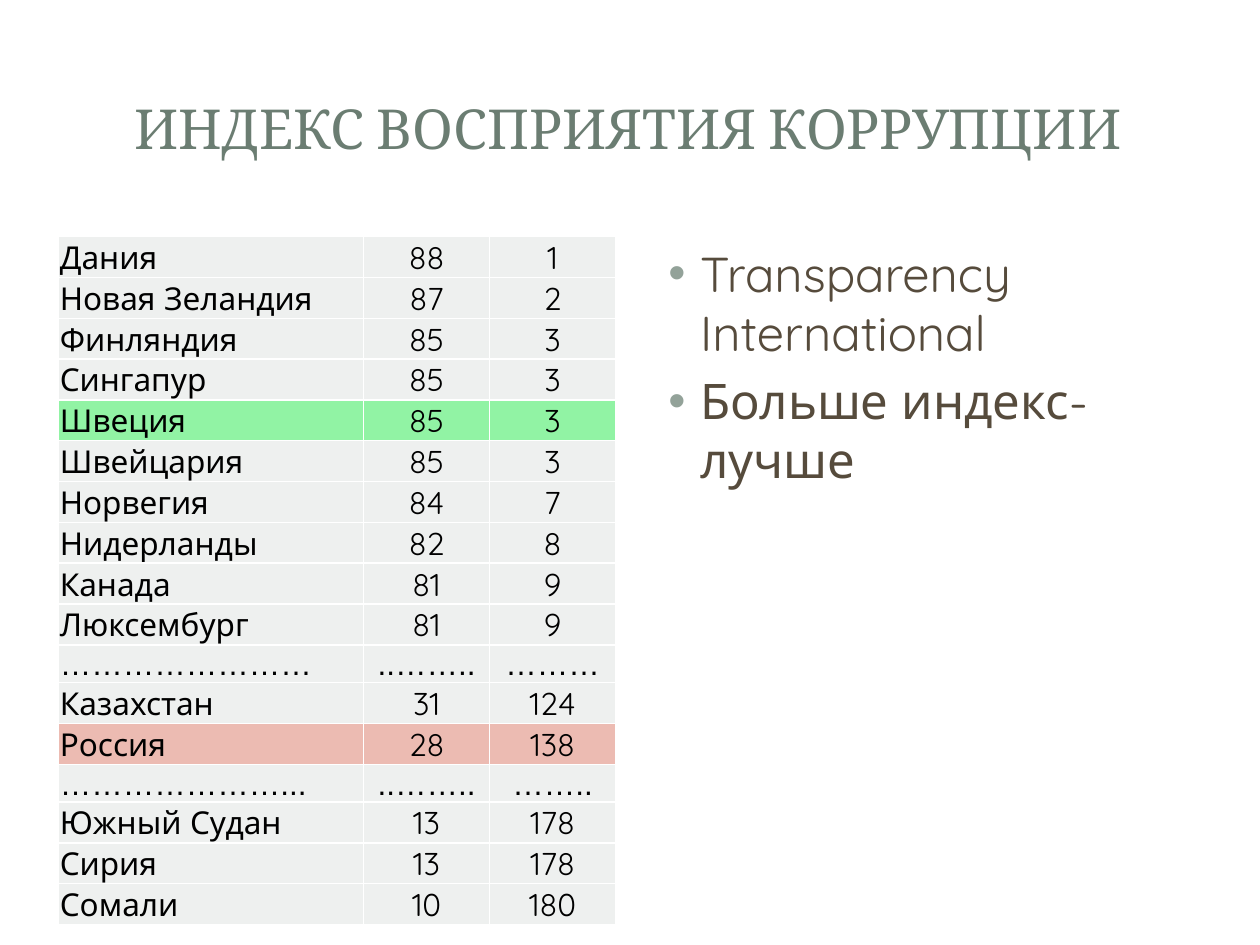
from lxml.etree import SubElement
from pptx import Presentation
from pptx.dml.color import RGBColor
from pptx.enum.shapes import MSO_SHAPE as Preset
from pptx.enum.text import MSO_ANCHOR as Anchor, PP_ALIGN as Align
from pptx.oxml.ns import qn
from pptx.util import Cm, Pt

COLORS = {
    "panel": "FFFFFF",
    "title": "6B7D72",
    "body": "564B3C",
    "bullet": "93A299",
    "cell_text": "000000",
    "border": "FFFFFF",
    "row": "EEF0EF",
    "best": "91F3A4",
    "russia": "ECBBB2",
}
HIGHLIGHTS = {"Швеция": "best", "Россия": "russia"}
RANKING = [
    ("Дания", "88", "1"),
    ("Новая Зеландия", "87", "2"),
    ("Финляндия", "85", "3"),
    ("Сингапур", "85", "3"),
    ("Швеция", "85", "3"),
    ("Швейцария", "85", "3"),
    ("Норвегия", "84", "7"),
    ("Нидерланды", "82", "8"),
    ("Канада", "81", "9"),
    ("Люксембург", "81", "9"),
    ("……………………", "..……..", "………"),
    ("Казахстан", "31", "124"),
    ("Россия", "28", "138"),
    ("…………………...", "..……..", "…….."),
    ("Южный Судан", "13", "178"),
    ("Сирия", "13", "178"),
    ("Сомали", "10", "180"),
]
NOTES = ["Transparency International", "Больше индекс-лучше"]


def place(placeholder, box):
    """Move a placeholder to a box of left, top, width and height."""
    placeholder.left, placeholder.top, placeholder.width, placeholder.height = box


def style_font(font, name, size, color):
    """Set the typeface, size and colour of a font."""
    font.name = name
    font.size = Pt(size)
    font.color.rgb = RGBColor.from_string(COLORS[color])


def add_panel(slide, preset, box):
    """Add a plain panel without outline or shadow."""
    panel = slide.shapes.add_shape(preset, *box)
    panel.shadow.inherit = False
    panel.fill.solid()
    panel.fill.fore_color.rgb = RGBColor.from_string(COLORS["panel"])
    panel.line.fill.background()
    return panel


def add_backdrop(slide, box):
    """Add the rounded page and the double title frame behind the content."""
    left, top, width, height = box
    page = add_panel(slide, Preset.ROUNDED_RECTANGLE, box)
    page.adjustments[0] = 0.02
    band = add_panel(slide, Preset.RECTANGLE,
                     (left + Cm(0.51), top + Cm(0.48), width - Cm(1.02), Cm(3.68)))
    color = band.fill._xPr.find(f".//{qn('a:srgbClr')}")
    SubElement(color, qn("a:alpha"), val="83000")
    frame = add_panel(slide, Preset.RECTANGLE,
                      (left + Cm(0.79), top + Cm(0.76), width - Cm(1.58), Cm(3.1)))
    tree = slide.shapes._spTree
    for depth, panel in enumerate((page, band, frame), start=2):
        tree.insert(depth, panel._element)


def add_borders(cell):
    """Draw a thin border on all four sides of a cell."""
    properties = cell._tc.get_or_add_tcPr()
    for side in ("lnL", "lnR", "lnT", "lnB"):
        line = SubElement(properties, qn(f"a:{side}"), w=str(Pt(1)))
        fill = SubElement(line, qn("a:solidFill"))
        SubElement(fill, qn("a:srgbClr"), val=COLORS["border"])


def fill_title(title, box):
    """Write the heading in the title placeholder."""
    place(title, box)
    title.text_frame.text = "ИНДЕКС ВОСПРИЯТИЯ КОРРУПЦИИ"
    title.text_frame.vertical_anchor = Anchor.MIDDLE
    heading = title.text_frame.paragraphs[0]
    heading.alignment = Align.CENTER
    style_font(heading.font, "Cambria", 31.5, "title")


def fill_cell(cell, text, color, alignment):
    """Write and format one cell of the ranking."""
    add_borders(cell)
    cell.fill.solid()
    cell.fill.fore_color.rgb = RGBColor.from_string(COLORS[color])
    cell.margin_left = cell.margin_right = cell.margin_top = Pt(0.75)
    cell.margin_bottom = 0
    cell.vertical_anchor = Anchor.BOTTOM
    cell.text = text
    entry = cell.text_frame.paragraphs[0]
    entry.alignment = alignment
    font_name = "Arial" if "…" in text else "Quicksand"
    style_font(entry.font, font_name, 18, "cell_text")


def add_ranking(slide, box):
    """Add the table of countries, scores and ranks."""
    left, top, width, height = box
    ranking = slide.shapes.add_table(len(RANKING), 3, *box).table
    ranking.first_row = ranking.horz_banding = False
    number_width = Cm(2.54)
    widths = (width - 2 * number_width, number_width, number_width)
    for column, column_width in zip(ranking.columns, widths):
        column.width = column_width
    for row, entries in zip(ranking.rows, RANKING):
        row.height = height // len(RANKING)
        color = HIGHLIGHTS.get(entries[0], "row")
        for index, (cell, text) in enumerate(zip(row.cells, entries)):
            fill_cell(cell, text, color, Align.CENTER if index else Align.LEFT)


def fill_notes(body, box):
    """Write the bulleted notes in the body placeholder."""
    place(body, box)
    frame = body.text_frame
    for index, text in enumerate(NOTES):
        note = frame.add_paragraph() if index else frame.paragraphs[0]
        note.text = text
        properties = note._p.get_or_add_pPr()
        properties.set("marL", str(Cm(0.95)))
        properties.set("indent", str(-Cm(0.64)))
        bullet_color = SubElement(properties, qn("a:buClr"))
        SubElement(bullet_color, qn("a:srgbClr"), val=COLORS["bullet"])
        SubElement(properties, qn("a:buFont"), typeface="Arial")
        SubElement(properties, qn("a:buChar"), char="•")
        style_font(note.font, "Quicksand", 28, "body")
    frame.paragraphs[0].space_before = Pt(0)


def main():
    """Build the slide and save the presentation."""
    deck = Presentation()
    deck.slide_width, deck.slide_height = Cm(25.4), Cm(19.05)
    slide = deck.slides.add_slide(deck.slide_layouts[1])
    title, body = slide.placeholders
    add_backdrop(slide, (Cm(0.25), Cm(0.28), Cm(24.9), Cm(18.52)))
    fill_title(title, (Cm(1.18), Cm(1.13), Cm(22.95), Cm(2.88)))
    add_ranking(slide, (Cm(1.18), Cm(4.77), Cm(11.23), Cm(12.95)))
    fill_notes(body, (Cm(12.91), Cm(4.78), Cm(11.23), Cm(12.25)))
    deck.save("out.pptx")


if __name__ == "__main__":
    main()
